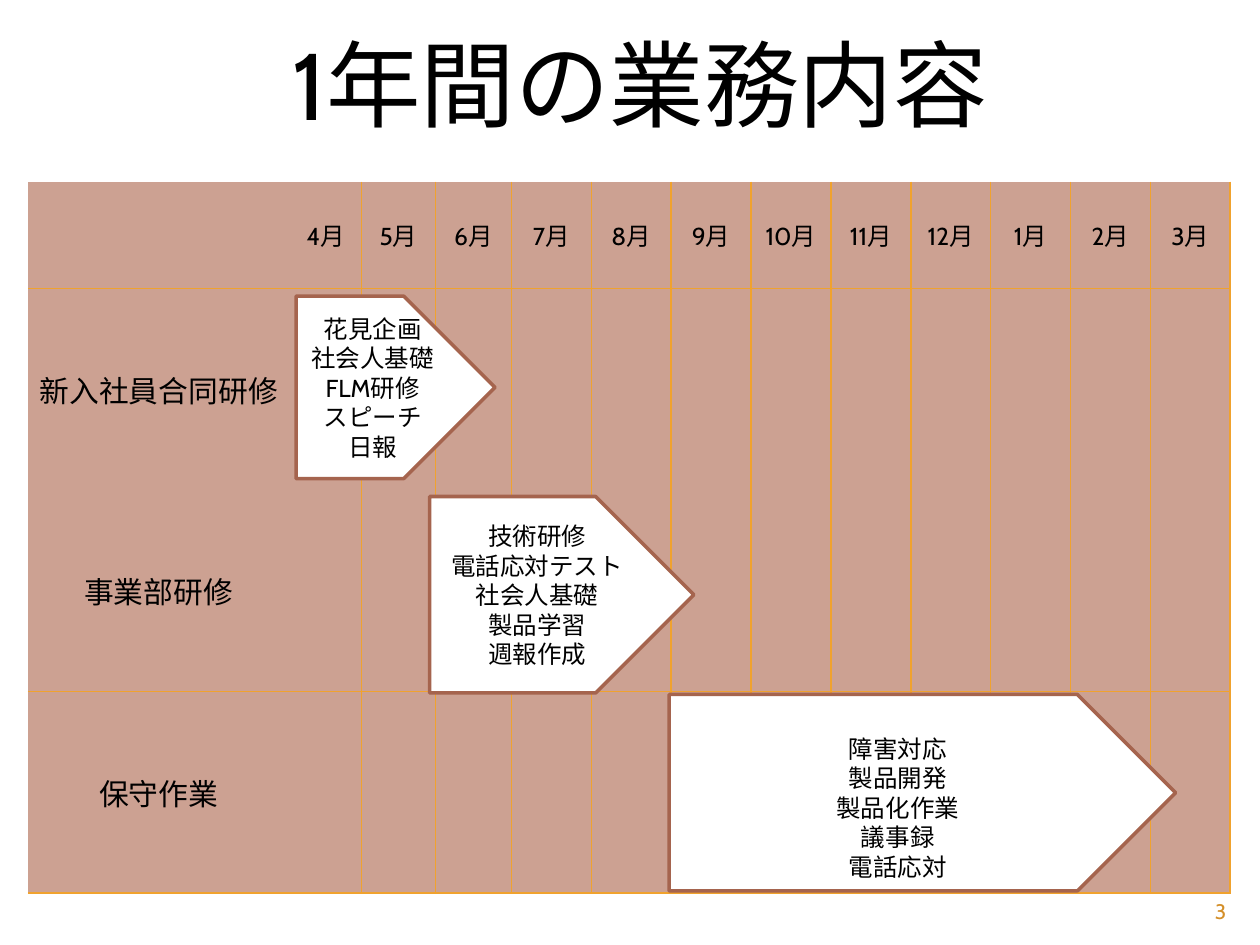
from dataclasses import dataclass

from lxml import etree
from pptx import Presentation
from pptx import util as u
from pptx.dml.color import RGBColor
from pptx.enum import shapes, text
from pptx.oxml import ns

TITLE = "1年間の業務内容"
PAGE_NUMBER = "3"
MONTHS = [f"{month}月" for month in [*range(4, 13), *range(1, 4)]]
PHASES = ["新入社員合同研修", "事業部研修", "保守作業"]

# left, top, width, height and extra top inset in cm, then the tasks
ARROWS = [
    ((5.97, 5.97, 4.01, 3.68), 0, ["花見企画", "社会人基礎", "FLM研修", "スピーチ", "日報"]),
    ((8.66, 10.01, 5.33, 3.96), 0,
     ["技術研修", "電話応対テスト", "社会人基礎", "製品学習", "週報作成"]),
    ((13.49, 14.0, 10.21, 3.96), 0.59,
     ["障害対応", "製品開発", "製品化作業", "議事録", "電話応対"]),
]

TABLE_LEFT, TABLE_TOP = 0.56, 3.66
COLUMN_WIDTHS = [5.28, 1.45, 1.49, 1.53] + [1.61] * 9
ROW_HEIGHTS = [2.16] + [4.06] * 3
RULED_COLUMN_EDGES = set(range(2, len(COLUMN_WIDTHS) + 1))
RULED_ROW_EDGES = {1, 3, 4}


@dataclass(frozen=True)
class Theme:
    font: str = "Cabin"
    ink: str = "000000"
    cell: str = "CCA192"
    grid: str = "F0A22E"
    arrow_fill: str = "FFFFFF"
    arrow_line: str = "A5644E"
    number: str = "D48F29"
    title_size: int = 54
    phase_size: int = 17
    body_size: int = 14
    number_size: int = 12


THEME = Theme()


def write(frame, lines, size, color=THEME.ink, align=text.PP_ALIGN.CENTER):
    frame.text = "\n".join(lines)
    for para in frame.paragraphs:
        para.alignment = align
        for span in para.runs:
            span.font.name = THEME.font
            span.font.size = u.Pt(size)
            span.font.color.rgb = RGBColor.from_string(color)


def fill_solid(item, color):
    item.fill.solid()
    item.fill.fore_color.rgb = RGBColor.from_string(color)


def rule_cell(cell, row, column):
    """Draw the grid edges that are ruled and clear the other ones."""
    sides = {
        "a:lnL": column in RULED_COLUMN_EDGES,
        "a:lnR": column + 1 in RULED_COLUMN_EDGES,
        "a:lnT": row in RULED_ROW_EDGES,
        "a:lnB": row + 1 in RULED_ROW_EDGES,
    }
    properties = cell._tc.get_or_add_tcPr()
    for tag, ruled in sides.items():
        line = etree.SubElement(properties, ns.qn(tag), w=str(u.Pt(1)))
        if ruled:
            solid = etree.SubElement(line, ns.qn("a:solidFill"))
            etree.SubElement(solid, ns.qn("a:srgbClr"), val=THEME.grid)
        else:
            etree.SubElement(line, ns.qn("a:noFill"))


def add_schedule(page):
    frame = page.shapes.add_table(
        len(ROW_HEIGHTS), len(COLUMN_WIDTHS), u.Cm(TABLE_LEFT), u.Cm(TABLE_TOP),
        u.Cm(sum(COLUMN_WIDTHS)), u.Cm(sum(ROW_HEIGHTS)))
    table = frame.table
    table.first_row = table.horz_banding = False
    for column, width in zip(table.columns, COLUMN_WIDTHS):
        column.width = u.Cm(width)
    for row, height in zip(table.rows, ROW_HEIGHTS):
        row.height = u.Cm(height)

    labels = {(0, i): (name, THEME.body_size) for i, name in enumerate(MONTHS, 1)}
    labels |= {(i, 0): (name, THEME.phase_size) for i, name in enumerate(PHASES, 1)}
    for row in range(len(ROW_HEIGHTS)):
        for column in range(len(COLUMN_WIDTHS)):
            cell = table.cell(row, column)
            rule_cell(cell, row, column)
            fill_solid(cell, THEME.cell)
            cell.vertical_anchor = text.MSO_ANCHOR.MIDDLE
            cell.margin_left = cell.margin_right = u.Cm(0.18)
            cell.margin_top = cell.margin_bottom = u.Cm(0.13)
            if (row, column) in labels:
                label, size = labels[row, column]
                write(cell.text_frame, [label], size)
                cell.text_frame.paragraphs[0].space_before = u.Pt(size * 0.2)


def add_arrow(page, place, extra_inset, tasks):
    arrow = page.shapes.add_shape(shapes.MSO_SHAPE.PENTAGON, *map(u.Cm, place))
    arrow.shadow.inherit = False
    fill_solid(arrow, THEME.arrow_fill)
    arrow.line.color.rgb = RGBColor.from_string(THEME.arrow_line)
    arrow.line.width = u.Pt(2)
    frame = arrow.text_frame
    frame.word_wrap = True
    frame.vertical_anchor = text.MSO_ANCHOR.MIDDLE
    frame.margin_top = u.Cm(0.13 + extra_inset)
    write(frame, tasks, THEME.body_size)


def add_text(page, place, words, *style):
    box = page.shapes.add_textbox(*map(u.Cm, place))
    box.text_frame.word_wrap = True
    write(box.text_frame, [words], *style)


def main():
    deck = Presentation()
    deck.slide_width, deck.slide_height = u.Cm(25.4), u.Cm(19.05)
    page = deck.slides.add_slide(deck.slide_layouts[6])
    add_schedule(page)
    for arrow in ARROWS:
        add_arrow(page, *arrow)
    add_text(page, (3.28, 0.41, 19.25, 2.57), TITLE, THEME.title_size)
    add_text(page, (22.86, 17.98, 2.11, 0.69), PAGE_NUMBER,
             THEME.number_size, THEME.number, text.PP_ALIGN.RIGHT)
    deck.save("out.pptx")


if __name__ == "__main__":
    main()
